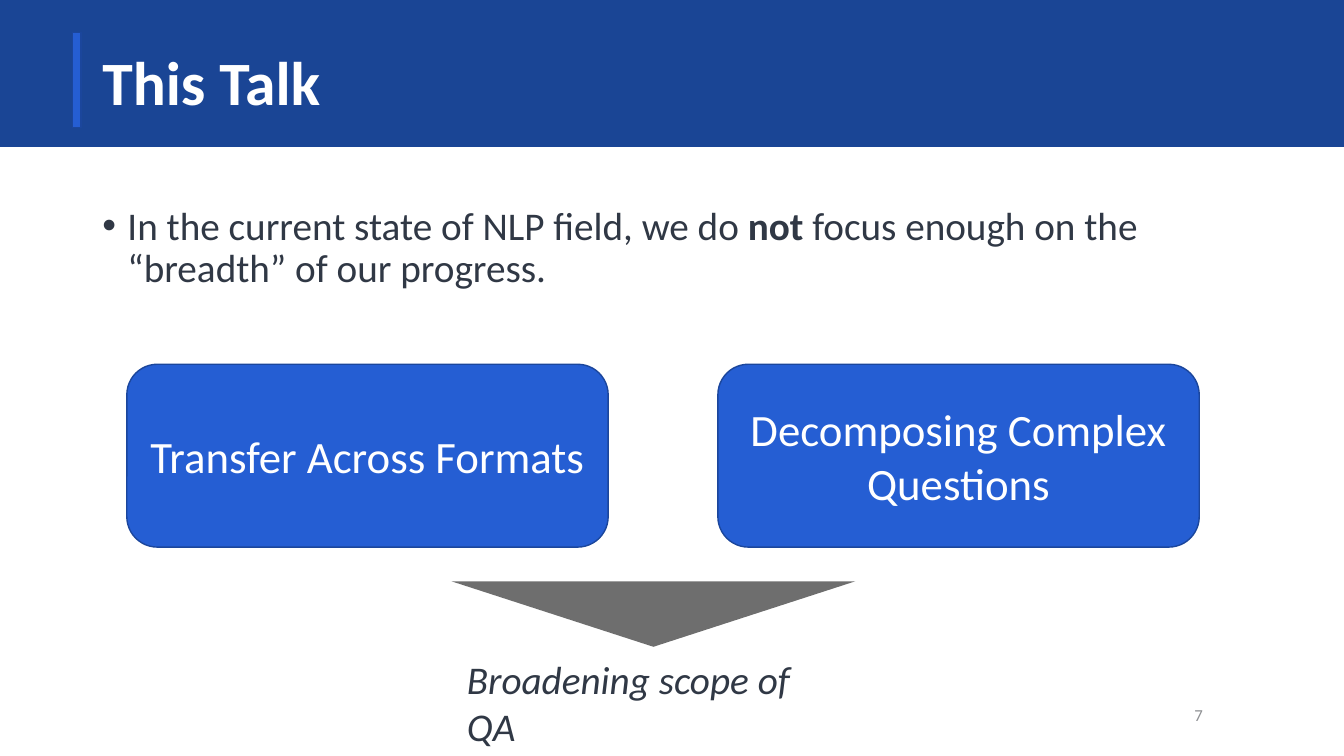
from pptx import Presentation
from pptx.dml.color import RGBColor
from pptx.enum.shapes import MSO_SHAPE
from pptx.enum.text import MSO_ANCHOR, PP_ALIGN
from pptx.util import Pt
from lxml.etree import SubElement
from pptx.oxml.ns import qn

TITLE = "This Talk"
BODY = [("In the current state of NLP field, we do ", False), ("not", True),
        (" focus enough on the “breadth” of our progress.", False)]
TOPICS = ["Transfer Across Formats", "Decomposing Complex Questions"]
RESULT = "Broadening scope of QA"
PAGE = "7"
COLORS = {"band": "1A4595", "accent": "255ED3", "edge": "1B469C", "white": "FFFFFF",
          "text": "303845", "arrow": "6E6E6E", "page": "8F9194"}
WIDTH, HEIGHT = 960, 540
TOPIC_LEFT, TOPIC_TOP, TOPIC_W, TOPIC_H, TOPIC_GAP = 90.6, 260.2, 343.8, 130.6, 78.4


def color(name):
    return RGBColor.from_string(COLORS[name])


def add_box(s, kind, box, fill, line=None):
    sp = s.shapes.add_shape(kind, *map(Pt, box))
    sp.shadow.inherit = False
    sp.fill.solid()
    sp.fill.fore_color.rgb = color(fill)
    if line:
        sp.line.color.rgb = color(line)
        sp.line.width = Pt(1)
    else:
        sp.line.fill.background()
    return sp


def write(sp, text, size, fill="text", bold=False, italic=False, align=PP_ALIGN.LEFT,
          anchor=MSO_ANCHOR.TOP, spacing=None, bullet=None):
    tf = sp.text_frame
    tf.word_wrap = True
    tf.vertical_anchor = anchor
    p = tf.paragraphs[0]
    p.alignment = align
    if spacing:
        p.line_spacing = spacing
    if bullet:
        pPr = p._p.get_or_add_pPr()
        pPr.set("marL", str(Pt(18)))
        pPr.set("indent", str(-Pt(18)))
        SubElement(pPr, qn("a:buFont")).set("typeface", "Arial")
        SubElement(pPr, qn("a:buChar")).set("char", bullet)
    for part, strong in [(text, bold)] if isinstance(text, str) else text:
        r = p.add_run()
        r.text = part
        r.font.name = "Calibri"
        r.font.size = Pt(size)
        r.font.bold = strong
        r.font.italic = italic
        r.font.color.rgb = color(fill)


def add_text(s, box, text, size, **fmt):
    write(s.shapes.add_textbox(*map(Pt, box)), text, size, **fmt)


def main():
    """Build the talk overview slide."""
    prs = Presentation()
    prs.slide_width, prs.slide_height = Pt(WIDTH), Pt(HEIGHT)
    s = prs.slides.add_slide(prs.slide_layouts[6])
    middle = MSO_ANCHOR.MIDDLE

    add_box(s, MSO_SHAPE.RECTANGLE, (0, 0, WIDTH, 104.4), "band", "band")
    add_box(s, MSO_SHAPE.RECTANGLE, (52, 23.4, 6, 67.8), "accent", "edge")
    add_text(s, (66, 23, 828, 75.6), TITLE, 44, fill="white", bold=True,
             anchor=middle, spacing=0.9)
    add_text(s, (66, 144, 828, 342.7), BODY, 28, spacing=0.9, bullet="•")
    add_text(s, (824.4, 496, 41.8, 28.8), PAGE, 12, fill="page",
             align=PP_ALIGN.RIGHT, anchor=middle)

    for i, topic in enumerate(TOPICS):
        left = TOPIC_LEFT + i * (TOPIC_W + TOPIC_GAP)
        sp = add_box(s, MSO_SHAPE.ROUNDED_RECTANGLE,
                     (left, TOPIC_TOP, TOPIC_W, TOPIC_H), "accent", "edge")
        write(sp, topic, 32, fill="white", align=PP_ALIGN.CENTER, anchor=middle)

    add_text(s, (326.4, 464.4, 260, 41.2), RESULT, 28, italic=True)
    arrow = add_box(s, MSO_SHAPE.ISOSCELES_TRIANGLE, (322.4, 415.2, 288.6, 46.8), "arrow")
    arrow.rotation = 180
    prs.save("out.pptx")


if __name__ == "__main__":
    main()
